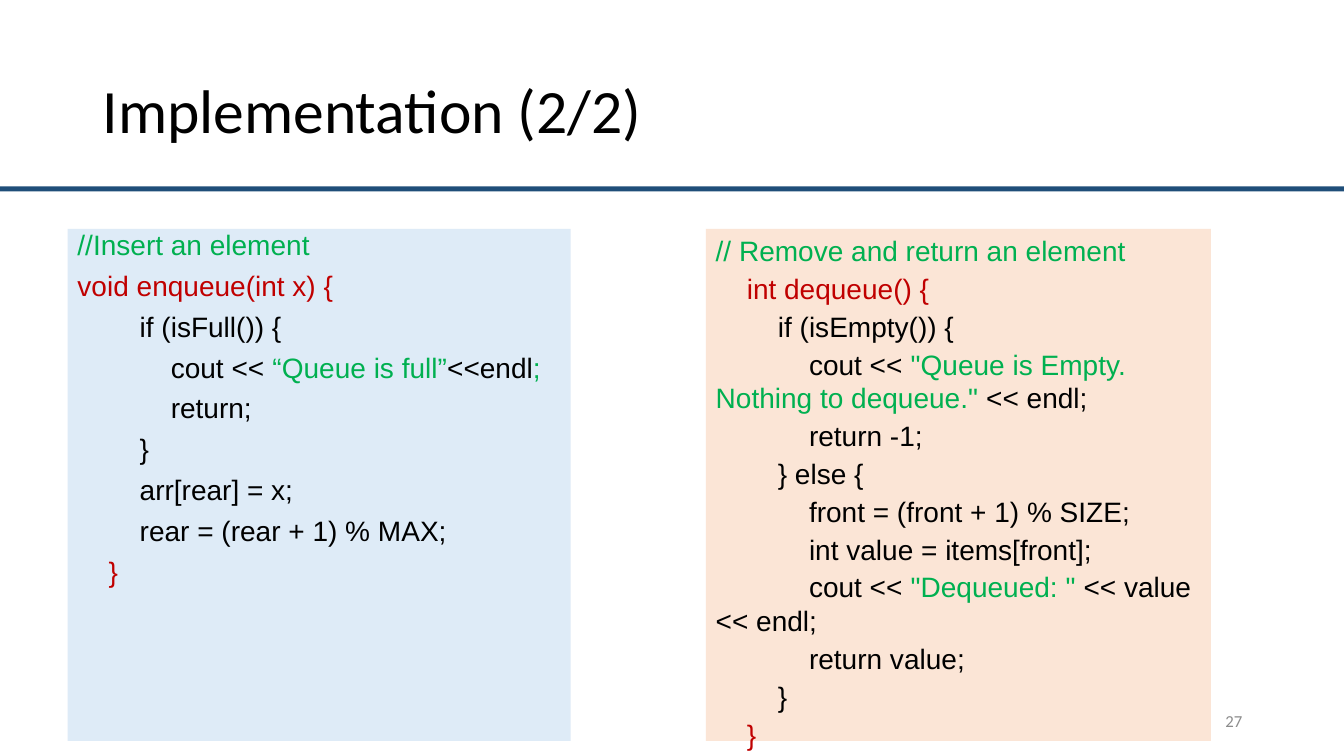
from pptx import Presentation
from pptx.dml.color import RGBColor
from pptx.enum.shapes import MSO_SHAPE
from pptx.enum.text import MSO_ANCHOR, PP_ALIGN
from pptx.util import Inches, Pt

RECT = MSO_SHAPE.RECTANGLE
TOP, MIDDLE = MSO_ANCHOR.TOP, MSO_ANCHOR.MIDDLE
LEFT, RIGHT = PP_ALIGN.LEFT, PP_ALIGN.RIGHT

BLACK = RGBColor(0x00, 0x00, 0x00)
GREEN = RGBColor(0x00, 0xB0, 0x50)
RED = RGBColor(0xC0, 0x00, 0x00)
GRAY = RGBColor(0x8C, 0x8C, 0x8C)
NAVY = RGBColor(0x1F, 0x4E, 0x79)
PALE_BLUE = RGBColor(0xDE, 0xEB, 0xF7)
PALE_ORANGE = RGBColor(0xFB, 0xE5, 0xD6)

prs = Presentation()
prs.slide_width, prs.slide_height = Inches(13.33), Inches(7.5)
s = prs.slides.add_slide(prs.slide_layouts[6])


def add_rect(x, y, w, h, color):
    sp = s.shapes.add_shape(RECT, Inches(x), Inches(y), Inches(w), Inches(h))
    sp.shadow.inherit = False
    sp.fill.solid()
    sp.fill.fore_color.rgb = color
    sp.line.fill.background()
    return sp


def add_run(p, text, size, font, color):
    r = p.add_run()
    r.text = text
    r.font.size = Pt(size)
    r.font.name = font
    r.font.color.rgb = color


# Rule under the title
add_rect(0, 1.85, 13.33, 0.05, NAVY)

# Title and slide number
for text, x, y, w, h, size, color, align, spacing in [
    ("Implementation (2/2)", 0.92, 0.4, 11.5, 1.45, 44, BLACK, LEFT, 0.9),
    ("27", 9.42, 6.95, 3, 0.4, 12, GRAY, RIGHT, 1.0),
]:
    sp = s.shapes.add_textbox(Inches(x), Inches(y), Inches(w), Inches(h))
    tf = sp.text_frame
    tf.word_wrap = True
    tf.vertical_anchor = MIDDLE
    p = tf.paragraphs[0]
    p.alignment = align
    p.line_spacing = spacing
    add_run(p, text, size, "Calibri", color)

# Code: one list of runs per line
enqueue = [
    [("//Insert an element", GREEN)],
    [("void enqueue(int x) {", RED)],
    [("        if (isFull()) {", BLACK)],
    [("            cout << ", BLACK), ("“Queue is full”", GREEN),
     ("<<endl", BLACK), (";", GREEN)],
    [("            return;", BLACK)],
    [("        }", BLACK)],
    [("        arr[rear] = x;", BLACK)],
    [("        rear = (rear + 1) % MAX;", BLACK)],
    [("    }", RED)],
]
dequeue = [
    [("// Remove and return an element", GREEN)],
    [("    int dequeue() {", RED)],
    [("        if (isEmpty()) {", BLACK)],
    [("            cout << ", BLACK),
     ('"Queue is Empty. Nothing to dequeue." ', GREEN), ("<< endl;", BLACK)],
    [("            return -1;", BLACK)],
    [("        } else {", BLACK)],
    [("            front = (front + 1) % SIZE;", BLACK)],
    [("            int value = items[front];", BLACK)],
    [("            cout << ", BLACK), ('"Dequeued: " ', GREEN),
     ("<< value << endl;", BLACK)],
    [("            return value;", BLACK)],
    [("        }", BLACK)],
    [("    }", RED)],
]

# Code panels
for x, w, fill, lines, spacing, before, after in [
    (0.67, 4.99, PALE_BLUE, enqueue, 0.8, 10, 0),
    (7, 5.01, PALE_ORANGE, dequeue, 1.0, 0, 3),
]:
    tf = add_rect(x, 2.27, w, 5.08, fill).text_frame
    tf.word_wrap = True
    tf.vertical_anchor = TOP
    for i, line in enumerate(lines):
        p = tf.paragraphs[0] if i == 0 else tf.add_paragraph()
        p.alignment = LEFT
        p.line_spacing = spacing
        p.space_before = Pt(before if i else 0)
        p.space_after = Pt(after)
        for text, color in line:
            add_run(p, text, 20, "Arial", color)

prs.save("out.pptx")
